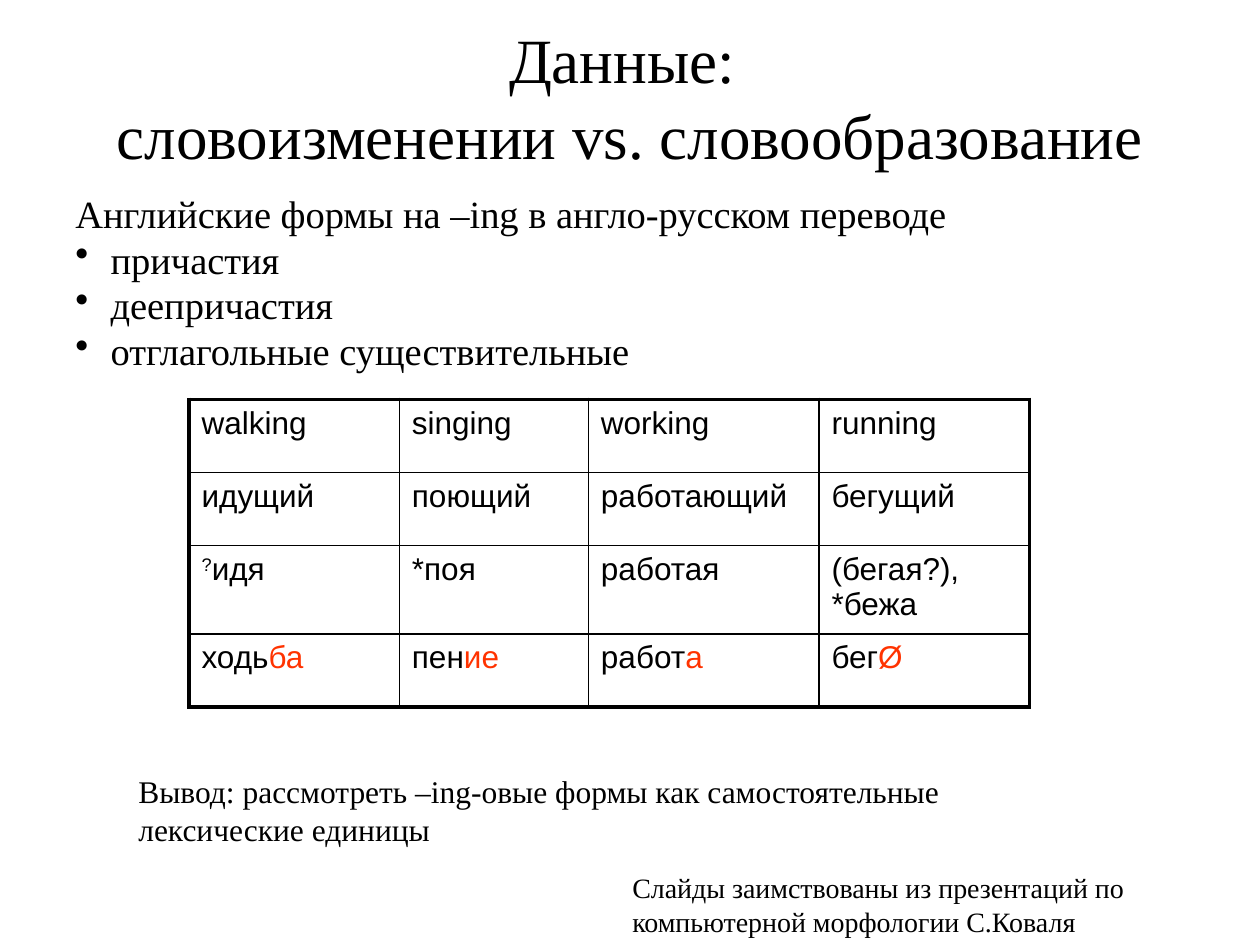
from dataclasses import dataclass

from lxml import etree
from pptx import Presentation
from pptx.dml.color import RGBColor
from pptx.enum.text import MSO_ANCHOR, PP_ALIGN
from pptx.oxml.ns import qn
from pptx.util import Inches, Pt

CENTER = PP_ALIGN.CENTER
TOP, MIDDLE = MSO_ANCHOR.TOP, MSO_ANCHOR.MIDDLE
BLANK_LAYOUT = 6


@dataclass(frozen=True)
class Theme:
    """Colours, fonts, type sizes and rule widths of the slide."""
    ink: str = "000000"
    suffix: str = "FF3300"
    serif: str = "Times New Roman"
    sans: str = "Arial"
    title: int = 36
    body: int = 22
    note: int = 18
    credit: int = 16
    outer: float = 2.25
    inner: float = 1


THEME = Theme()

TITLE = "Данные: \vсловоизменении vs. словообразование"
INTRO = "Английские формы на –ing в англо-русском переводе"
FORMS = ["причастия", "деепричастия", "отглагольные существительные"]
CONCLUSION = ("Вывод: рассмотреть –ing-овые формы как самостоятельные "
              "лексические единицы")
CREDIT = "Слайды заимствованы из презентаций по компьютерной морфологии С.Коваля"

COLUMN_WIDTHS = [1.67, 1.5, 1.83, 1.67]
ROW_HEIGHTS = [0.58, 0.58, 0.7, 0.58]
TRANSLATIONS = [
    ["walking", "singing", "working", "running"],
    ["идущий", "поющий", "работающий", "бегущий"],
    [[("?", "super"), ("идя", "plain")], "*поя", "работая", "(бегая?), *бежа"],
    [[(stem, "plain"), (ending, "suffix")] for stem, ending in
     [("ходь", "ба"), ("пен", "ие"), ("работ", "а"), ("бег", "Ø")]],
]


def apply(target, values):
    """Set every attribute named in values on target."""
    for name, value in values.items():
        setattr(target, name, value)


def style_run(run, font, size, color=THEME.ink):
    """Give a run its font, size and colour."""
    apply(run.font, {"name": font, "size": Pt(size)})
    run.font.color.rgb = RGBColor.from_string(color)


def add_text(slide, box, lines, size, anchor=TOP, **paragraph_format):
    """Add a wrapped text box with one paragraph per line."""
    frame = slide.shapes.add_textbox(*map(Inches, box)).text_frame
    apply(frame, {"word_wrap": True, "vertical_anchor": anchor})
    for index, line in enumerate(lines):
        paragraph = frame.paragraphs[0] if index == 0 else frame.add_paragraph()
        paragraph.text = line
        apply(paragraph, paragraph_format)
        for run in paragraph.runs:
            style_run(run, THEME.serif, size)
    return frame


def hang(paragraph, bulleted):
    """Give a paragraph a hanging indent and, if asked, a bullet."""
    properties = paragraph._p.get_or_add_pPr()
    indent = Inches(0.28)
    properties.set("marL", str(indent))
    properties.set("indent", str(-indent))
    if bulleted:
        etree.SubElement(properties, qn("a:buChar"), char="•")
    else:
        etree.SubElement(properties, qn("a:buNone"))


def add_border(cell, side, width):
    """Draw one side of a cell border."""
    line = etree.SubElement(cell._tc.get_or_add_tcPr(), qn(f"a:ln{side}"),
                            w=str(Pt(width)))
    fill = etree.SubElement(line, qn("a:solidFill"))
    etree.SubElement(fill, qn("a:srgbClr"), val=THEME.ink)


def fill_cell(cell, content):
    """Write a plain word or its marked parts into a cell."""
    parts = [(content, "plain")] if isinstance(content, str) else content
    for text, role in parts:
        run = cell.text_frame.paragraphs[0].add_run()
        run.text = text
        color = THEME.suffix if role == "suffix" else THEME.ink
        style_run(run, THEME.sans, THEME.note, color)
        if role == "super":
            run._r.get_or_add_rPr().set("baseline", "30000")


def add_translations(slide, left, top):
    """Add the table of English forms and their translations."""
    last_row, last_column = len(ROW_HEIGHTS) - 1, len(COLUMN_WIDTHS) - 1
    extent = (left, top, sum(COLUMN_WIDTHS), sum(ROW_HEIGHTS))
    table = slide.shapes.add_table(last_row + 1, last_column + 1,
                                   *map(Inches, extent)).table
    apply(table, {"first_row": False, "horz_banding": False})
    for column, width in zip(table.columns, COLUMN_WIDTHS):
        column.width = Inches(width)
    for row, height in zip(table.rows, ROW_HEIGHTS):
        row.height = Inches(height)
    for r, words in enumerate(TRANSLATIONS):
        for c, word in enumerate(words):
            cell = table.cell(r, c)
            fill_cell(cell, word)
            edges = {"L": c == 0, "R": c == last_column,
                     "T": r == 0, "B": r == last_row}
            for side, is_outer in edges.items():
                add_border(cell, side, THEME.outer if is_outer else THEME.inner)
            cell.fill.background()


def main():
    """Build the slide and save it."""
    deck = Presentation()
    apply(deck, {"slide_width": Inches(10), "slide_height": Inches(7.5)})
    slide = deck.slides.add_slide(deck.slide_layouts[BLANK_LAYOUT])
    add_text(slide, (0.5, 0.3, 9, 0.93), [TITLE], THEME.title,
             anchor=MIDDLE, alignment=CENTER)
    body = add_text(slide, (0.5, 1.53, 9, 1.58), [INTRO, *FORMS], THEME.body,
                    line_spacing=0.8, space_before=Pt(5))
    for index, paragraph in enumerate(body.paragraphs):
        hang(paragraph, bulleted=index > 0)
    add_translations(slide, 1.5, 3.17)
    add_text(slide, (1, 6.08, 7.67, 0.7), [CONCLUSION], THEME.note)
    add_text(slide, (4.92, 6.86, 5, 0.64), [CREDIT], THEME.credit)
    deck.save("out.pptx")


main()
